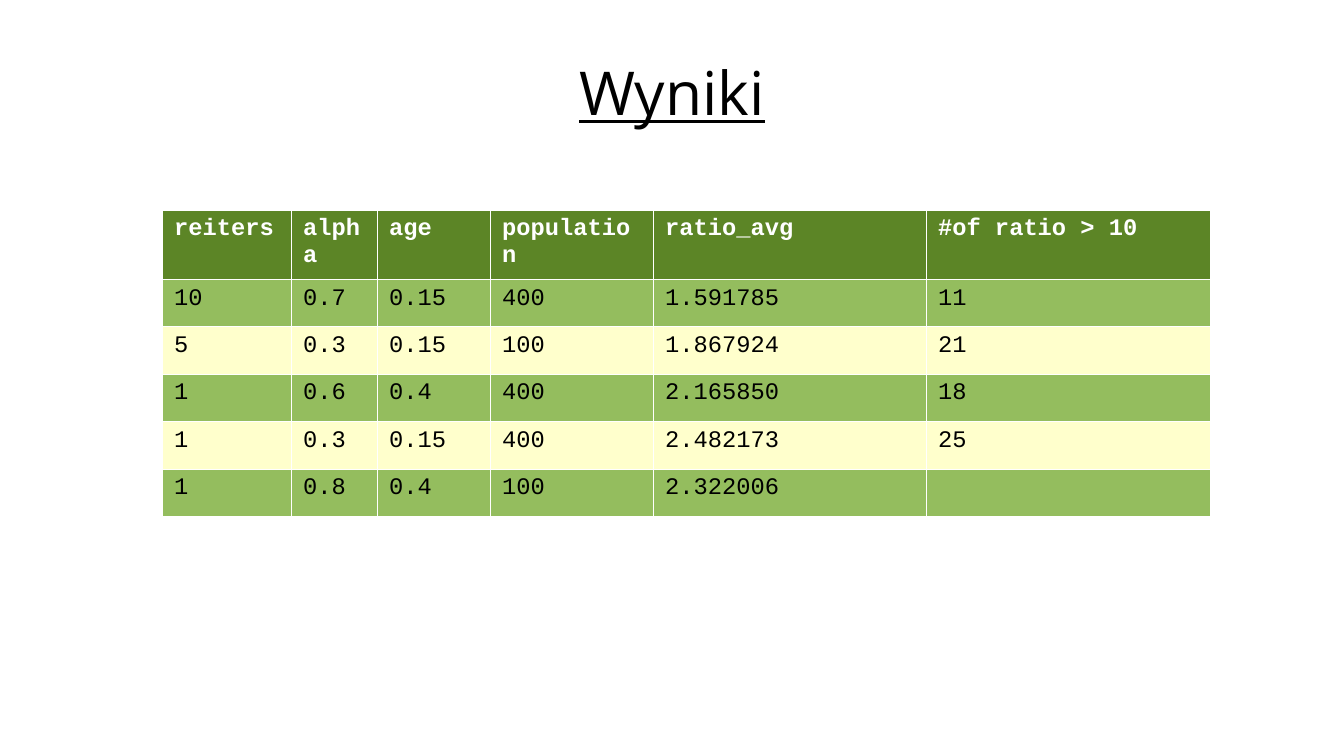
from dataclasses import astuple, dataclass

from lxml import etree
from pptx import Presentation
from pptx import util as u
from pptx.dml.color import RGBColor
from pptx.enum import text
from pptx.oxml import ns

EMU_PER_PIXEL = 914400 / 122
BLACK = RGBColor(0x00, 0x00, 0x00)
WHITE = RGBColor(0xFF, 0xFF, 0xFF)
DARK_GREEN = RGBColor(0x5C, 0x85, 0x26)
LIGHT_GREEN = RGBColor(0x94, 0xBD, 0x5E)
CREAM = RGBColor(0xFF, 0xFF, 0xCC)
GRID_WIDTH = u.Pt(0.06)


@dataclass
class Result:
    reiters: str
    alpha: str
    age: str
    population: str
    ratio_avg: str
    high_ratios: str


@dataclass
class RowStyle:
    fill: RGBColor
    color: RGBColor
    bold: bool


HEADINGS = Result("reiters", "alpha", "age", "population", "ratio_avg", "#of ratio > 10")
RESULTS = [
    Result("10", "0.7", "0.15", "400", "1.591785", "11"),
    Result("5", "0.3", "0.15", "100", "1.867924", "21"),
    Result("1", "0.6", "0.4", "400", "2.165850", "18"),
    Result("1", "0.3", "0.15", "400", "2.482173", "25"),
    Result("1", "0.8", "0.4", "100", "2.322006", ""),
]
COLUMN_WIDTHS = [129, 86, 113, 163, 273, 284]
HEADER_HEIGHT = 69
BODY_HEIGHT = 237
HEADER_STYLE = RowStyle(DARK_GREEN, WHITE, True)
BAND_STYLES = [RowStyle(LIGHT_GREEN, BLACK, False), RowStyle(CREAM, BLACK, False)]


def px(pixels: float) -> u.Emu:
    return u.Emu(round(pixels * EMU_PER_PIXEL))


def style_font(font, name: str, size: float, color: RGBColor) -> None:
    font.name = name
    font.size = u.Pt(size)
    font.color.rgb = color


def add_borders(cell) -> None:
    properties = cell._tc.get_or_add_tcPr()
    for index, side in enumerate(("lnL", "lnR", "lnT", "lnB")):
        line = etree.Element(ns.qn(f"a:{side}"), w=str(GRID_WIDTH))
        paint = etree.SubElement(line, ns.qn("a:solidFill"))
        etree.SubElement(paint, ns.qn("a:srgbClr"), val=str(WHITE))
        properties.insert(index, line)


def fill_cell(cell, value: str, style: RowStyle) -> None:
    cell.text = value
    cell.fill.solid()
    cell.fill.fore_color.rgb = style.fill
    font = cell.text_frame.paragraphs[0].font
    style_font(font, "Courier New", 14, style.color)
    font.bold = style.bold
    add_borders(cell)


def add_title(slide, title: str) -> None:
    heading = slide.shapes.add_textbox(px(67), px(29), px(1210), px(125))
    frame = heading.text_frame
    frame.word_wrap = True
    frame.vertical_anchor = text.MSO_ANCHOR.MIDDLE
    frame.margin_left = frame.margin_right = frame.margin_top = frame.margin_bottom = 0
    frame.text = title
    paragraph = frame.paragraphs[0]
    paragraph.alignment = text.PP_ALIGN.CENTER
    style_font(paragraph.font, "Open Sans", 35.7, BLACK)
    paragraph.font.underline = True


def add_results(slide, results: list[Result]) -> None:
    records = [HEADINGS, *results]
    table = slide.shapes.add_table(
        len(records), len(COLUMN_WIDTHS), px(162), px(210),
        px(sum(COLUMN_WIDTHS)), px(HEADER_HEIGHT + BODY_HEIGHT),
    ).table
    for column, width in zip(table.columns, COLUMN_WIDTHS):
        column.width = px(width)
    for index, (row, record) in enumerate(zip(table.rows, records)):
        row.height = px(BODY_HEIGHT / len(results) if index else HEADER_HEIGHT)
        style = BAND_STYLES[(index - 1) % 2] if index else HEADER_STYLE
        for cell, value in zip(row.cells, astuple(record)):
            fill_cell(cell, value, style)


presentation = Presentation()
presentation.slide_width = px(1344)
presentation.slide_height = px(756)
results_slide = presentation.slides.add_slide(presentation.slide_layouts[6])
add_title(results_slide, "Wyniki")
add_results(results_slide, RESULTS)
presentation.save("out.pptx")
